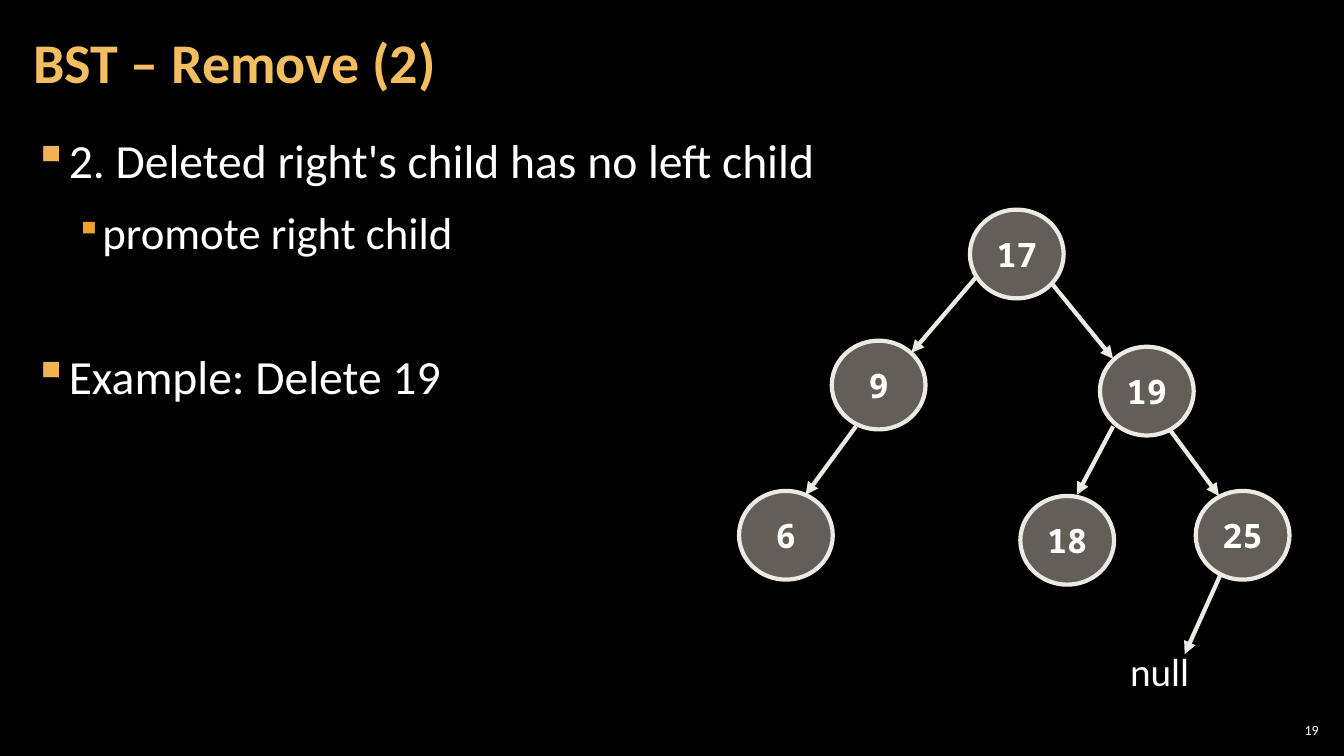
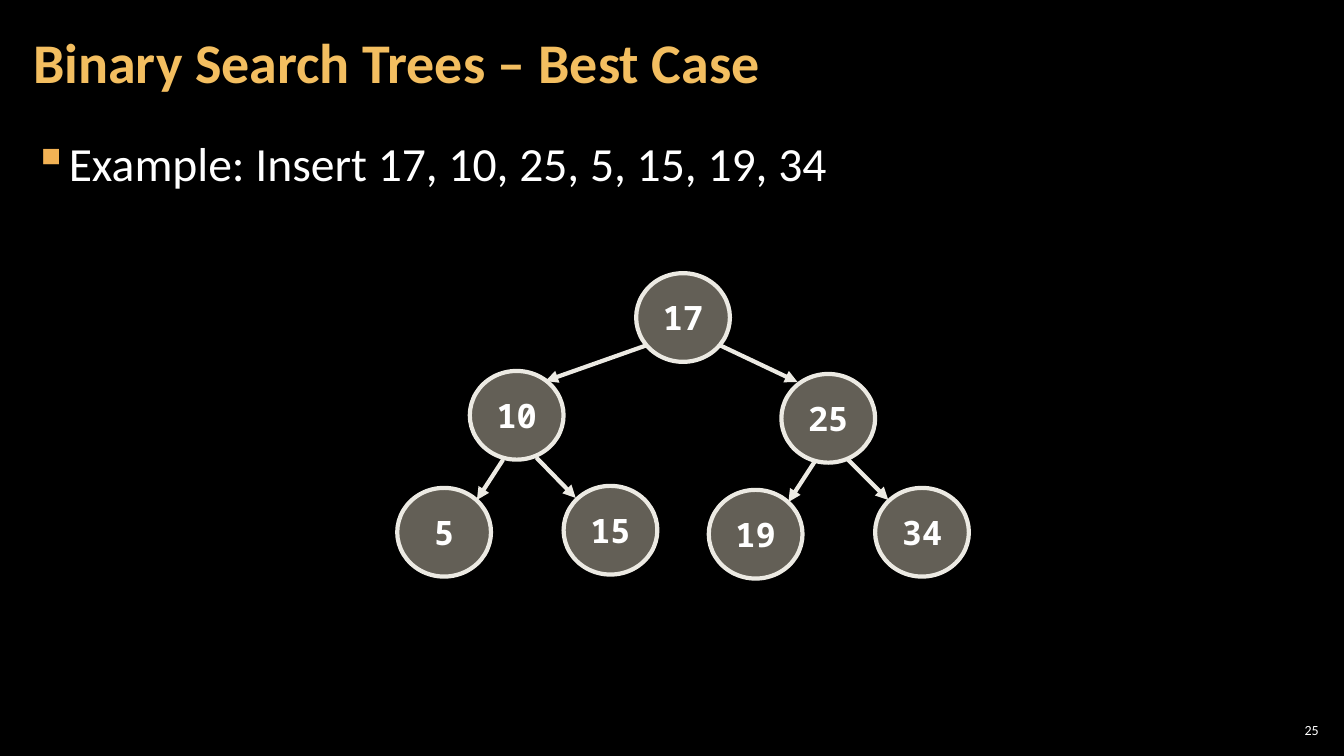
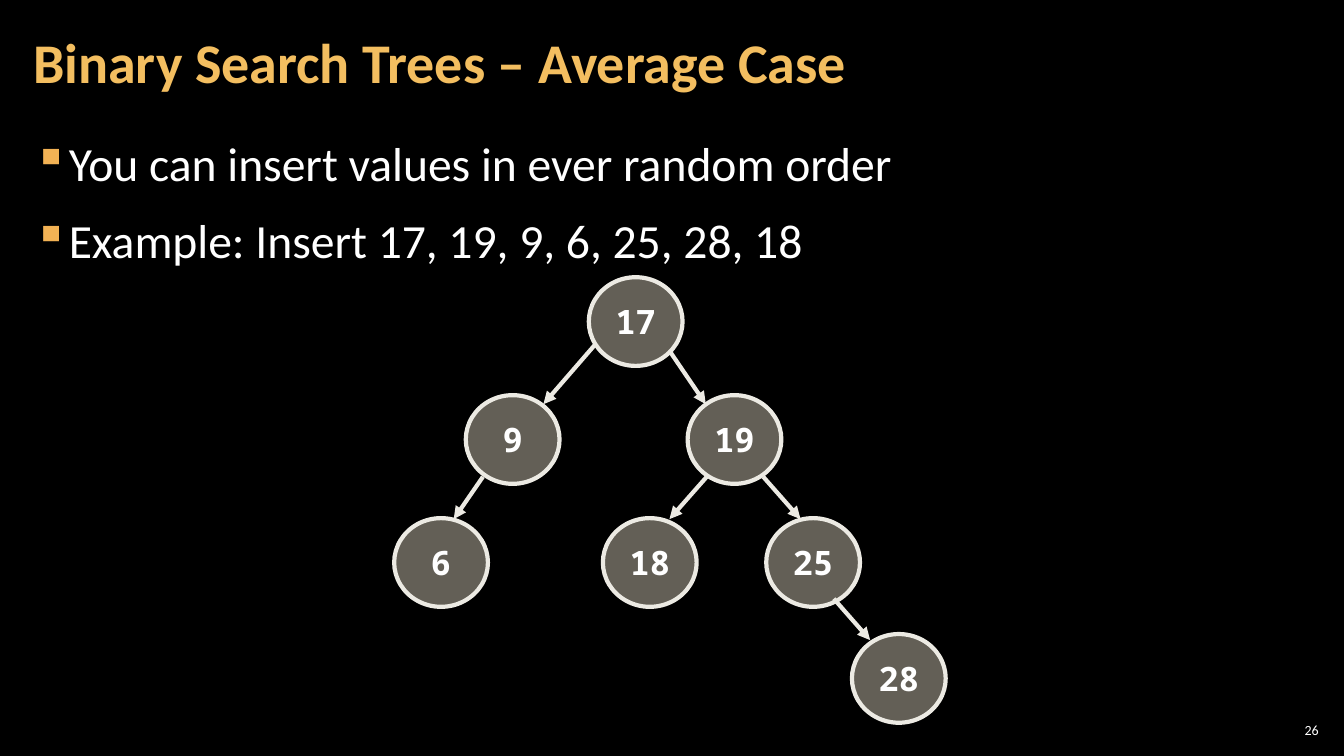
from lxml import etree
from pptx import Presentation
from pptx.dml.color import RGBColor
from pptx.enum import shapes, text
from pptx.oxml import ns
from pptx.util import Inches, Pt

BLACK = RGBColor(0x00, 0x00, 0x00)
WHITE = RGBColor(0xFF, 0xFF, 0xFF)
GOLD = RGBColor(0xF3, 0xBE, 0x60)
BULLET = RGBColor(0xF2, 0xB2, 0x54)
SUB_BULLET = RGBColor(0xF0, 0xA2, 0x2E)
STONE = RGBColor(0xC7, 0xBF, 0xAC)
IVORY = RGBColor(0xEC, 0xEA, 0xE3)

TITLE_ONLY = 5
NODE_W, NODE_H = 0.93, 0.88

TITLE_FONT = dict(name="Calibri", size=Pt(40), bold=True)
NODE_FONT = dict(name="Noto Sans Mono", size=Pt(24), bold=True)
NUMBER_FONT = dict(name="Calibri", size=Pt(10))
LABEL_FONT = dict(name="Calibri", size=Pt(28))
LEVELS = [
    dict(size=34, left=0.33, hanging=0.33, color=BULLET, bullet_pct=100),
    dict(size=32, left=0.67, hanging=0.25, color=SUB_BULLET, bullet_pct=80),
]


def assign(obj, values):
    for name, value in values.items():
        setattr(obj, name, value)


def add_xml(parent, tag, **attributes):
    return etree.SubElement(parent, ns.qn(tag), attributes)


class Deck:
    def __init__(self):
        self.prs = Presentation()
        assign(self.prs, dict(slide_width=Inches(13.33), slide_height=Inches(7.5)))
        fill = self.prs.slide_master.background.fill
        fill.solid()
        fill.fore_color.rgb = BLACK

    def frame(self, sp, inset_x, inset_y, **values):
        assign(sp.text_frame, dict(
            margin_left=Inches(inset_x), margin_right=Inches(inset_x),
            margin_top=Inches(inset_y), margin_bottom=Inches(inset_y), **values))
        return sp.text_frame

    def put_text(self, p, words, font, color=WHITE, **values):
        assign(p, values)
        r = p.add_run()
        r.text = words
        assign(r.font, font)
        r.font.color.rgb = color

    def textbox(self, left, top, width, height):
        return self.s.shapes.add_textbox(
            Inches(left), Inches(top), Inches(width), Inches(height))

    def slide(self, title, number):
        self.s = self.prs.slides.add_slide(self.prs.slide_layouts[TITLE_ONLY])
        sp = self.s.shapes.title
        assign(sp, dict(left=Inches(0.21), top=Inches(0.04),
                        width=Inches(10.47), height=Inches(1.21)))
        tf = self.frame(sp, 0.12, 0.04, word_wrap=True,
                        auto_size=text.MSO_AUTO_SIZE.NONE,
                        vertical_anchor=text.MSO_ANCHOR.MIDDLE)
        self.put_text(tf.paragraphs[0], title, TITLE_FONT, GOLD,
                      alignment=text.PP_ALIGN.LEFT, line_spacing=0.9)
        tf = self.frame(self.textbox(12.65, 7.14, 0.47, 0.21), 0.04, 0.04,
                        word_wrap=True, vertical_anchor=text.MSO_ANCHOR.MIDDLE)
        self.put_text(tf.paragraphs[0], str(number), NUMBER_FONT,
                      alignment=text.PP_ALIGN.RIGHT)

    def bullets(self, items, line_spacing=1.05):
        tf = self.frame(self.textbox(0.21, 1.26, 12.91, 6.09), 0.12, 0.04,
                        word_wrap=True)
        for i, (level, before, words) in enumerate(items):
            style = LEVELS[level]
            p = tf.add_paragraph() if i else tf.paragraphs[0]
            pPr = p._p.get_or_add_pPr()
            pPr.set("marL", str(Inches(style["left"])))
            pPr.set("indent", str(-Inches(style["hanging"])))
            add_xml(add_xml(pPr, "a:buClr"), "a:srgbClr", val=str(style["color"]))
            add_xml(pPr, "a:buSzPct", val=str(style["bullet_pct"] * 1000))
            add_xml(pPr, "a:buChar", char="▪")
            self.put_text(p, words, dict(name="Calibri", size=Pt(style["size"])),
                          level=level, line_spacing=line_spacing,
                          space_before=Pt(before), space_after=Pt(6))

    def outline(self, sp):
        assign(sp.line, dict(width=Pt(3)))
        sp.line.color.rgb = IVORY

    def node(self, value, left, top):
        sp = self.s.shapes.add_shape(
            shapes.MSO_SHAPE.OVAL, Inches(left), Inches(top),
            Inches(NODE_W), Inches(NODE_H))
        sp.shadow.inherit = False
        sp.fill.solid()
        sp.fill.fore_color.rgb = STONE
        fill = sp._element.spPr.find(ns.qn("a:solidFill"))
        add_xml(fill[0], "a:alpha", val="50000")
        self.outline(sp)
        tf = self.frame(sp, 0.1, 0.05, word_wrap=False,
                        vertical_anchor=text.MSO_ANCHOR.MIDDLE)
        self.put_text(tf.paragraphs[0], str(value), NODE_FONT,
                      alignment=text.PP_ALIGN.CENTER)

    def arrow(self, *ends):
        sp = self.s.shapes.add_connector(
            shapes.MSO_CONNECTOR.STRAIGHT, *[Inches(v) for v in ends])
        self.outline(sp)
        spPr = sp._element.spPr
        add_xml(spPr.find(ns.qn("a:ln")), "a:tailEnd", type="triangle")
        add_xml(spPr, "a:effectLst")

    def tree(self, nodes, arrows):
        for node in nodes:
            self.node(*node)
        for ends in arrows:
            self.arrow(*ends)

    def label(self, words, left, top, width, height):
        tf = self.frame(self.textbox(left, top, width, height), 0.1, 0.05,
                        word_wrap=False,
                        auto_size=text.MSO_AUTO_SIZE.SHAPE_TO_FIT_TEXT)
        self.put_text(tf.paragraphs[0], words, LABEL_FONT)


def main():
    deck = Deck()

    deck.slide("BST – Remove (2)", 19)
    deck.bullets([
        (0, 0, "2. Deleted right's child has no left child"),
        (1, 6, "promote right child"),
        (0, 57, "Example: Delete 19"),
    ], line_spacing=1.0)
    deck.tree(
        [(17, 9.62, 2.08), (9, 8.25, 3.38), (19, 10.91, 3.44),
         (6, 7.33, 4.87), (18, 10.12, 4.92), (25, 11.86, 4.87)],
        [(9.69, 2.74, 9.04, 3.5), (10.43, 2.81, 11.04, 3.56),
         (8.49, 4.23, 7.99, 4.91), (11.04, 4.23, 10.68, 4.91),
         (11.6, 4.26, 12.09, 4.92), (12.11, 5.69, 11.75, 6.49)])
    deck.label("null", 11.11, 6.37, 0.79, 0.57)

    deck.slide("Binary Search Trees – Best Case", 25)
    deck.bullets([(0, 0, "Example: Insert 17, 10, 25, 5, 15, 19, 34")])
    deck.tree(
        [(17, 6.31, 2.71), (10, 4.66, 3.68), (25, 7.75, 3.71),
         (5, 3.94, 4.84), (15, 5.59, 4.82), (19, 7.03, 4.86), (34, 8.68, 4.84)],
        [(6.4, 3.43, 5.41, 3.78), (7.15, 3.43, 7.91, 3.79),
         (4.99, 4.56, 4.73, 4.96), (5.32, 4.54, 5.71, 4.94),
         (8.08, 4.58, 7.82, 4.98), (8.41, 4.56, 8.81, 4.96)])

    deck.slide("Binary Search Trees – Average Case", 26)
    deck.bullets([
        (0, 0, "You can insert values in ever random order"),
        (0, 6, "Example: Insert 17, 19, 9, 6, 25, 28, 18"),
    ])
    deck.tree(
        [(17, 5.84, 2.75), (9, 4.62, 3.92), (19, 6.82, 3.92),
         (6, 3.91, 5.14), (18, 5.98, 5.14), (25, 7.6, 5.14), (28, 8.45, 6.29)],
        [(5.91, 3.41, 5.39, 4.01), (6.64, 3.48, 7, 4.01),
         (4.79, 4.73, 4.5, 5.15), (7.01, 4.73, 6.64, 5.15),
         (7.57, 4.73, 7.94, 5.15), (8.27, 5.94, 8.63, 6.35)])

    deck.prs.save("out.pptx")


if __name__ == "__main__":
    main()
